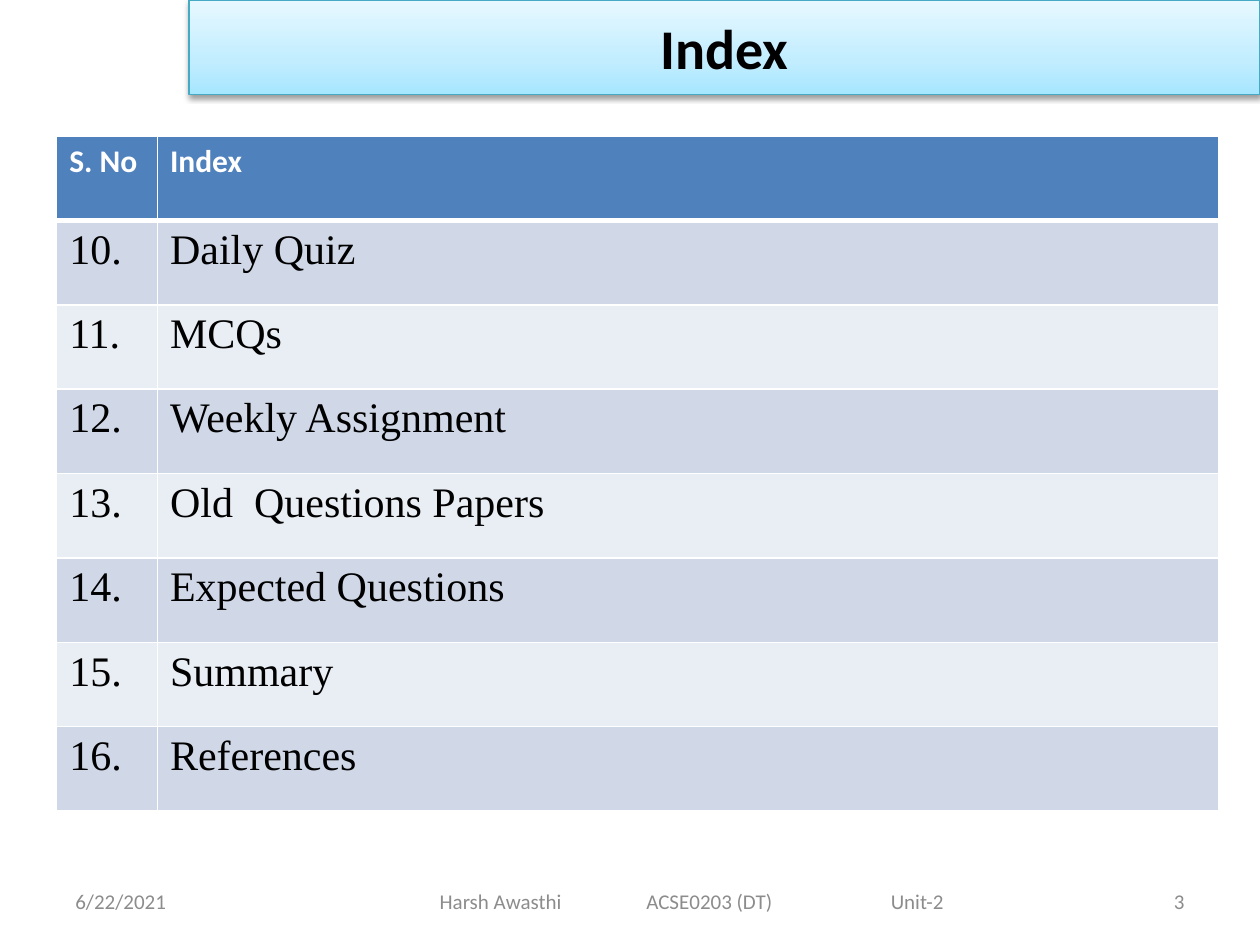
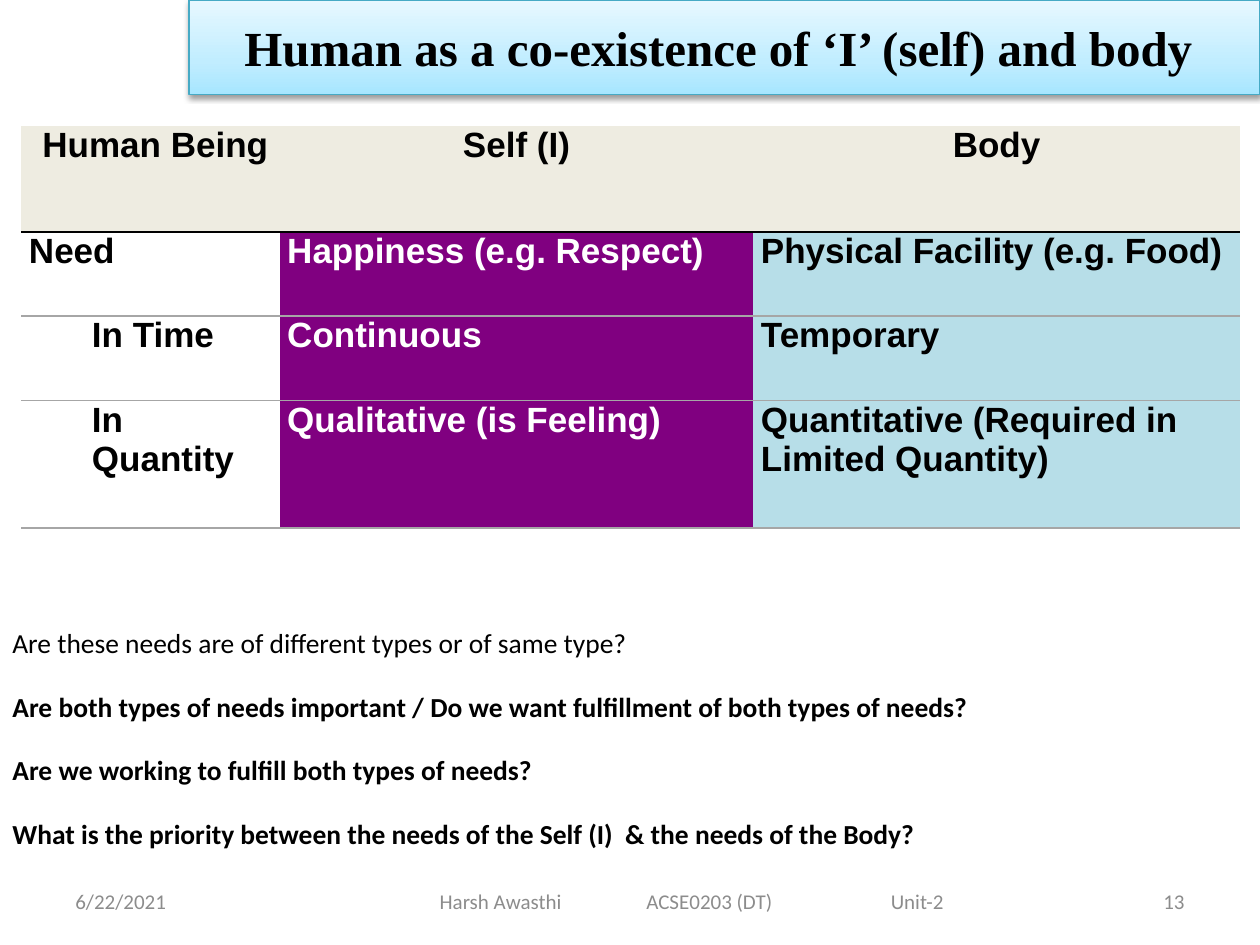
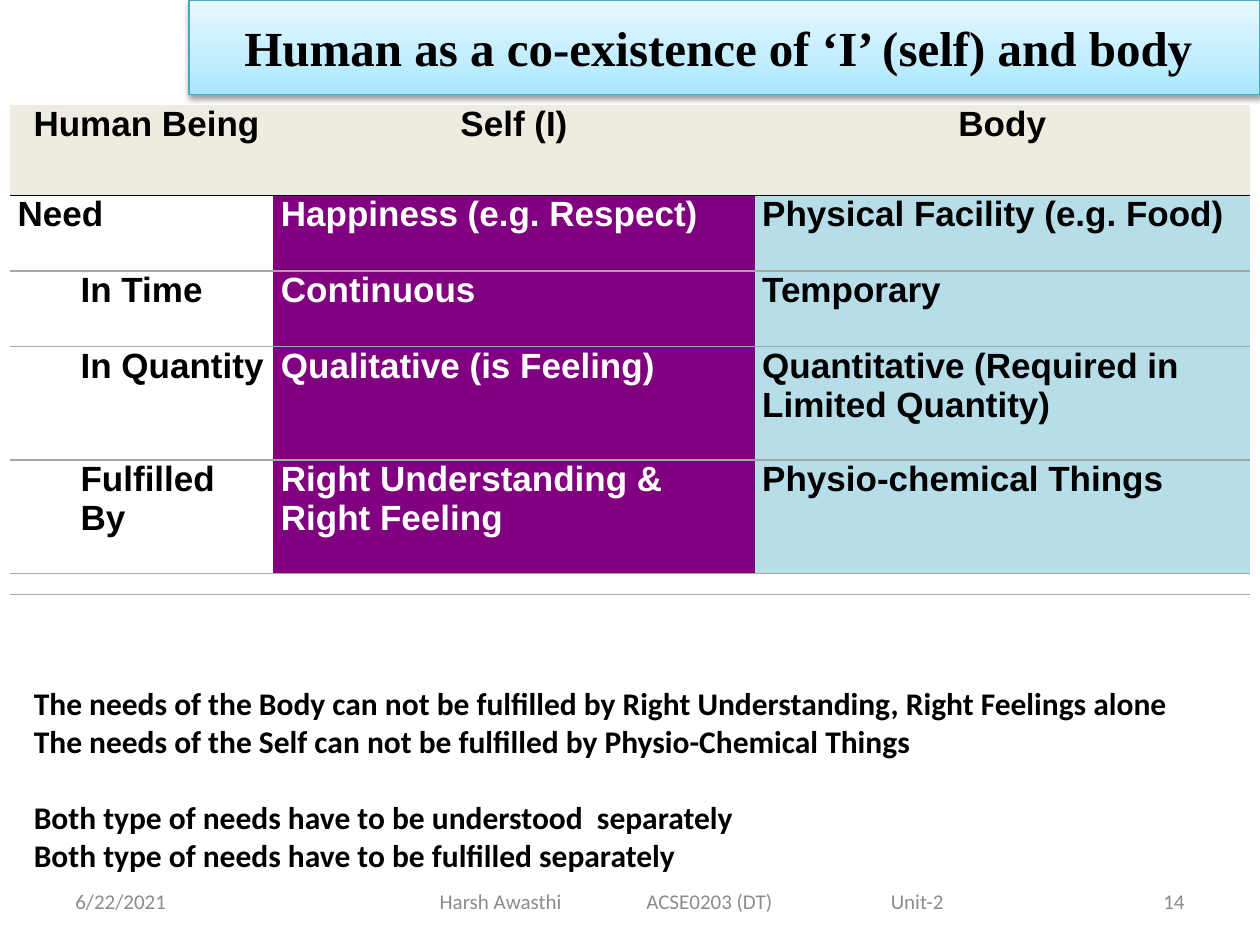
from dataclasses import dataclass
from lxml import etree
from pptx import Presentation
from pptx import util as u
from pptx.dml.color import RGBColor
from pptx.enum import shapes, text
from pptx.oxml.ns import qn


@dataclass(frozen=True)
class Theme:
    sans: str = "Calibri"
    serif: str = "Times New Roman"
    grid: str = "Arial"
    ink: str = "000000"
    white: str = "FFFFFF"
    gray: str = "8C8C8C"
    edge: str = "46AAC5"
    rule: str = "A6A6A6"
    blue: str = "4F81BD"
    odd: str = "D0D8E8"
    even: str = "E9EDF4"
    cream: str = "EEECE1"
    self: str = "800080"
    body: str = "B7DEE8"
    glow: tuple = ((0, "A7E6FF"), (35, "C1EDFF"), (100, "E7F8FF"))
    foot: float = 12
    ask: float = 15.7
    head: float = 18
    cell: float = 20
    item: float = 24
    thin: float = 8


T = Theme()
MID, RIGHT = text.PP_ALIGN.CENTER, text.PP_ALIGN.RIGHT

DATE = "6/22/2021"
COURSE = "Harsh Awasthi\tACSE0203 (DT)\tUnit-2"
TITLE = "Human as a co-existence of ‘I’ (self) and body "
TOPICS = ["Daily Quiz", "MCQs", "Weekly Assignment", "Old  Questions Papers",
          "Expected Questions", "Summary", "References"]
INDEX = [("S. No", "Index")] + [(f"{n}.", t) for n, t in enumerate(TOPICS, 10)]
NEEDS = [
    (" Human Being", "Self (I)", "Body"),
    ("Need", "Happiness (e.g. Respect)", "Physical Facility (e.g. Food)"),
    ("In Time", "Continuous", "Temporary"),
    ("In Quantity", "Qualitative (is Feeling)",
     "Quantitative (Required in Limited Quantity)"),
]
FILLED = NEEDS + [
    ("Fulfilled By", "Right Understanding & Right Feeling",
     "Physio-chemical Things"),
    ("", "", ""),
]
ASKS = [
    "Are these needs are of different types or of same type?",
    "Are both types of needs important / Do we want fulfillment of both types of needs?",
    "Are we working to fulfill both types of needs?",
    "What is the priority between the needs of the Self (I)  & the needs of the Body?",
]
CLAIMS = [
    "The needs of the Body can not be fulfilled by Right Understanding, Right Feelings alone",
    "The needs of the Self can not be fulfilled by Physio-Chemical Things",
    "Both type of needs have to be understood  separately",
    "Both type of needs have to be fulfilled separately",
]


def sub(node, tag, **attrs):
    return etree.SubElement(node, qn(tag), {k: str(v) for k, v in attrs.items()})


def tint(node, color):
    return sub(node, "a:srgbClr", val=color)


def put(obj, vals):
    for key, val in vals.items():
        setattr(obj, key, val)


def write(para, words, size, font=T.sans, color=T.ink, bold=False, **form):
    put(para, form)
    run = para.add_run()
    run.text = words
    put(run.font, dict(size=u.Pt(size), name=font, bold=bold))
    run.font.color.rgb = RGBColor.from_string(color)


def box(slide, area, **form):
    frame = slide.shapes.add_textbox(*map(u.Inches, area)).text_frame
    put(frame, dict(word_wrap=True, **form))
    return frame


def banner(slide, title, size, font):
    bar = slide.shapes.add_shape(shapes.MSO_SHAPE.RECTANGLE,
                                 *map(u.Inches, (1.5, 0, 8.5, 0.75)))
    bar.line.color.rgb = RGBColor.from_string(T.edge)
    bar.line.width = u.Pt(0.75)
    bar.shadow.inherit = False
    props = bar._element.spPr
    fill = etree.Element(qn("a:gradFill"), rotWithShape="1")
    stops = sub(fill, "a:gsLst")
    for pos, color in T.glow:
        tint(sub(stops, "a:gs", pos=pos * 1000), color)
    sub(fill, "a:lin", ang=270 * 60000, scaled=0)
    props.find(qn("a:prstGeom")).addnext(fill)
    shade = sub(props.find(qn("a:effectLst")), "a:outerShdw", blurRad=40000,
                dist=20000, dir=90 * 60000, rotWithShape=0)
    sub(tint(shade, T.ink), "a:alpha", val=38000)
    bar.text_frame.vertical_anchor = text.MSO_ANCHOR.MIDDLE
    write(bar.text_frame.paragraphs[0], title, size, font, bold=True, alignment=MID)


def footer(slide, num):
    mid = text.MSO_ANCHOR.MIDDLE
    parts = [(0.5, 2.33, DATE, 0.1, {}),
             (2.75, 5.5, COURSE, 0.74, {}),
             (7.17, 2.33, str(num), 0.1, dict(alignment=RIGHT))]
    for left, wide, words, inset, form in parts:
        frame = box(slide, (left, 6.95, wide, 0.4), vertical_anchor=mid,
                    margin_left=u.Inches(inset))
        para = frame.paragraphs[0]
        if "\t" in words:
            tabs = sub(para._p.get_or_add_pPr(), "a:tabLst")
            for pos in (1.64, 3.58):
                sub(tabs, "a:tab", pos=u.Inches(pos), algn="l")
        write(para, words, T.foot, color=T.gray, **form)


def border(cell, sides):
    props = cell._tc.get_or_add_tcPr()
    spots = [s for s in "LRTB" if s in sides]
    for spot, side in enumerate(spots):
        color, width = sides[side]
        line = etree.Element(qn(f"a:ln{side}"), w=str(u.Pt(width)))
        tint(sub(line, "a:solidFill"), color)
        props.insert(spot, line)


def table(slide, area, cols, rows, data, style):
    grid = slide.shapes.add_table(len(rows), len(cols), *map(u.Inches, area)).table
    put(grid, dict(first_row=False, horz_banding=False))
    grid._tbl.tblPr.find(qn("a:tableStyleId")).text = \
        "{2D5ABB26-0587-4C30-8999-92F81FD0307C}"
    for col, wide in zip(grid.columns, cols):
        col.width = u.Inches(wide)
    for r, (row, tall) in enumerate(zip(grid.rows, rows)):
        row.height = u.Inches(tall)
        for c, cell in enumerate(row.cells):
            look = style(r, c, data)
            put(cell, look["cell"])
            cell.fill.solid()
            cell.fill.fore_color.rgb = RGBColor.from_string(look["fill"])
            para = cell.text_frame.paragraphs[0]
            if data[r][c]:
                if look.get("indent"):
                    para._p.get_or_add_pPr().set("marL", str(u.Inches(look["indent"])))
                write(para, data[r][c], **look["text"])
            else:
                para._p.get_or_add_endParaRPr().set("sz", str(int(T.thin * 100)))
            border(cell, look["sides"])


def listed(r, c, data):
    line = (T.white, 1)
    sides = dict(L=line, R=line, T=(T.white, 3) if r == 1 else line,
                 B=(T.white, 3) if r == 0 else line)
    if r == 0:
        return dict(cell={}, fill=T.blue, sides=sides,
                    text=dict(size=T.head, color=T.white, bold=True))
    return dict(cell={}, fill=T.odd if r % 2 else T.even, sides=sides,
                text=dict(size=T.item, font=T.serif))


def compared(r, c, data):
    def under(n):
        if n == 0:
            return (T.ink, 1)
        if n + 1 < len(data) and not any(data[n + 1]):
            return None
        return (T.rule, 1)

    edges = dict(T=under(r - 1) if r else None, B=under(r))
    fill = (T.white, T.self, T.body)[c] if any(data[r]) else T.white
    form = dict(size=T.cell, font=T.grid, bold=True,
                color=T.white if fill == T.self and r else T.ink)
    if r == 0:
        fill = T.cream
        form["alignment"] = MID
    pad = u.Inches(0.06)
    return dict(cell=dict(margin_left=pad, margin_right=pad, margin_top=0,
                          margin_bottom=0),
                fill=fill, text=form, indent=0.5 if c == 0 and r > 1 else 0,
                sides={k: v for k, v in edges.items() if v})


def lines(frame, words, size, gaps, plain=(), **form):
    for n, line in enumerate(words):
        para = frame.add_paragraph() if n else frame.paragraphs[0]
        if n in gaps:
            para.space_before = u.Pt(gaps[n])
        write(para, line, size, bold=n not in plain, **form)


def page(deck, num, title, size, font):
    slide = deck.slides.add_slide(deck.slide_layouts[6])
    footer(slide, num)
    banner(slide, title, size, font)
    return slide


def main():
    deck = Presentation()
    put(deck, dict(slide_width=u.Inches(10), slide_height=u.Inches(7.5)))

    slide = page(deck, 3, "Index", 32, T.sans)
    table(slide, (0.45, 1.08, 9.21, 5.33), (0.8, 8.42), [0.67] * len(INDEX),
          INDEX, listed)

    slide = page(deck, 13, TITLE, 28, T.serif)
    table(slide, (0.17, 1, 9.67, 3.2), (2.05, 3.76, 3.86),
          (0.84, 0.67, 0.67, 1.01), NEEDS, compared)
    lines(box(slide, (0, 4.97, 10, 2)), ASKS, T.ask,
          {n: 21.2 for n in range(1, len(ASKS))}, plain=(0,), line_spacing=0.8)

    slide = page(deck, 14, TITLE, 28, T.serif)
    table(slide, (0.08, 0.83, 9.83, 3.92), (2.09, 3.82, 3.93),
          (0.72, 0.6, 0.6, 0.9, 0.9, 0.17), FILLED, compared)
    lines(box(slide, (0.17, 5.38, 9.75, 1.62)), CLAIMS, T.head, {2: 22})

    deck.save("out.pptx")


if __name__ == "__main__":
    main()
